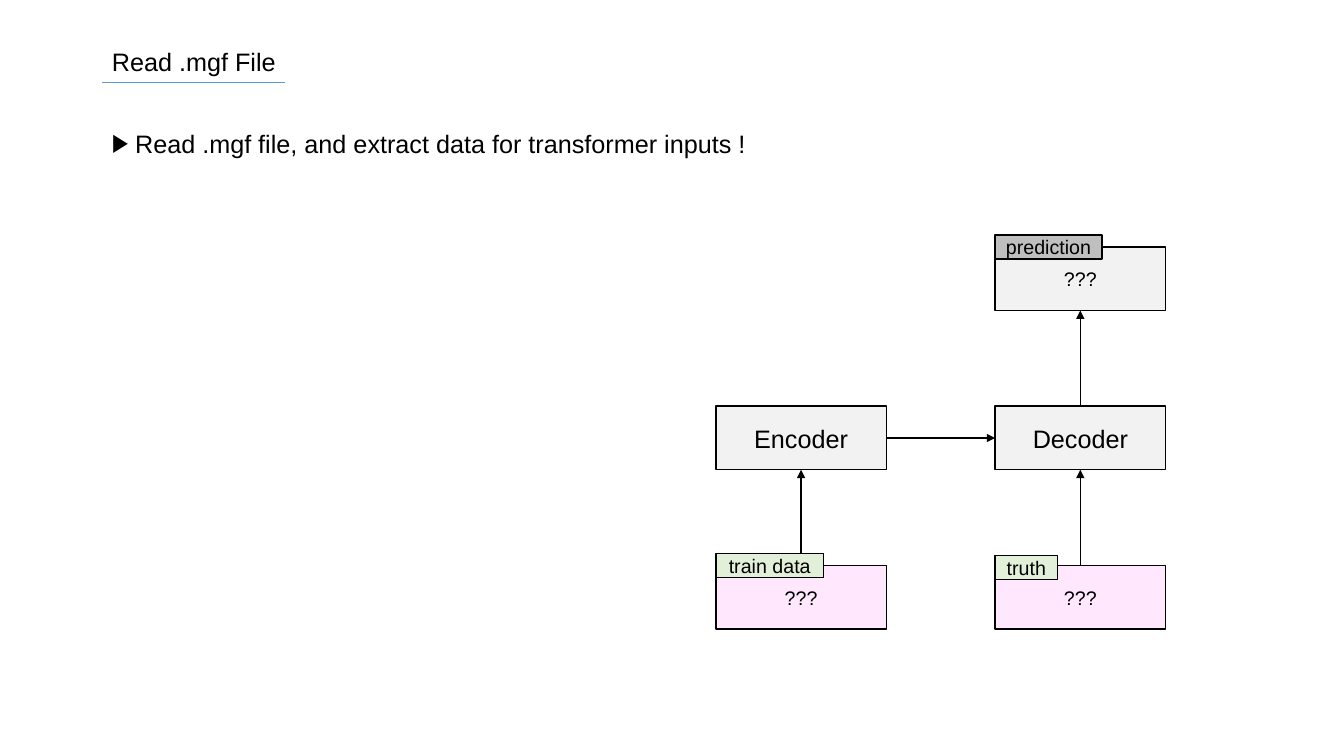
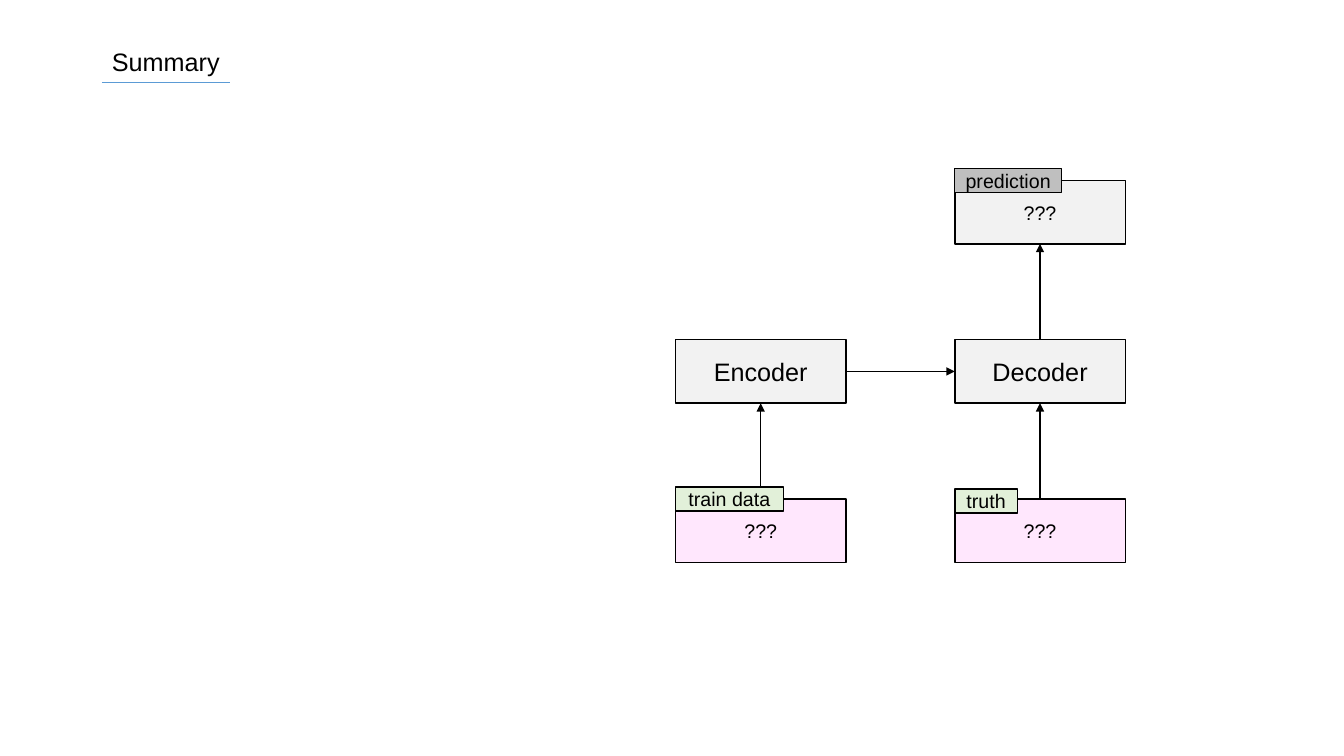
"""Build two slides that show an encoder-decoder data flow."""
from lxml import etree
from pptx import Presentation
from pptx import util as u
from pptx.dml.color import RGBColor
from pptx.enum import shapes, text
from pptx.oxml import ns

COLORS = {
    "ink": "000000",
    "rule": "5B9BD5",
    "model": "F2F2F2",
    "data": "FFE7FD",
    "input": "E2F0D9",
    "output": "BFBFBF",
}
FONT = "Arial"
MARGIN = 1.01
BOX_WIDTH, BOX_HEIGHT = 1.69, 0.63
COLUMN_STEP, ROW_STEP = 2.77, 1.58
TAG_HEIGHT, TAG_RISE = 0.24, 0.12
TOP, LEFT, BOTTOM, RIGHT = range(4)


def write(shape, words, size=18, align=text.PP_ALIGN.LEFT,
          anchor=text.MSO_ANCHOR.TOP, wrap=True, fit=text.MSO_AUTO_SIZE.NONE, bullet=None):
    frame = shape.text_frame
    frame.word_wrap = wrap
    frame.auto_size = fit
    frame.vertical_anchor = anchor
    paragraph = frame.paragraphs[0]
    paragraph.text = words
    paragraph.alignment = align
    paragraph.space_before = u.Pt(0)
    if bullet:
        properties = paragraph._p.get_or_add_pPr()
        indent = u.Inches(0.23)
        properties.set("marL", str(indent))
        properties.set("indent", str(-indent))
        etree.SubElement(properties, ns.qn("a:buFont"), typeface=FONT)
        etree.SubElement(properties, ns.qn("a:buChar"), char=bullet)
    paragraph.font.name = FONT
    paragraph.font.size = u.Pt(size)
    paragraph.font.color.rgb = RGBColor.from_string(COLORS["ink"])


class Deck:
    def __init__(self):
        self.presentation = Presentation()
        self.presentation.slide_width = u.Inches(13.33)
        self.presentation.slide_height = u.Inches(7.5)
        self.slide = None

    def add_slide(self, title, rule_width, layout):
        self.slide = self.presentation.slides.add_slide(
            self.presentation.slide_layouts.get_by_name(layout))
        self.fill_placeholder(self.slide.shapes.title, title, 0.41, 5.69)
        self.line((MARGIN, 0.82), (MARGIN + rule_width, 0.82), "rule", 0.5)

    def fill_placeholder(self, shape, words, top, width, bullet=None):
        shape.left, shape.top = u.Inches(MARGIN), u.Inches(top)
        shape.width, shape.height = u.Inches(width), u.Inches(0.4)
        write(shape, words, fit=text.MSO_AUTO_SIZE.SHAPE_TO_FIT_TEXT, bullet=bullet)

    def bullet(self, words):
        self.fill_placeholder(self.slide.placeholders[1], words, 1.22, 11.42, "▶")

    def line(self, start=(0, 0), end=(0, 0), color="ink", weight=1):
        connector = self.slide.shapes.add_connector(
            shapes.MSO_CONNECTOR.STRAIGHT, *map(u.Inches, (*start, *end)))
        connector.line.color.rgb = RGBColor.from_string(COLORS[color])
        connector.line.width = u.Pt(weight)
        etree.SubElement(connector._element.spPr, ns.qn("a:effectLst"))
        return connector

    def arrow(self, source, source_side, target, target_side):
        connector = self.line()
        connector.begin_connect(source, source_side)
        connector.end_connect(target, target_side)
        etree.SubElement(connector.line._get_or_add_ln(), ns.qn("a:tailEnd"), type="triangle")

    def box(self, words, left, top, color, size=14, width=BOX_WIDTH, height=BOX_HEIGHT):
        shape = self.slide.shapes.add_shape(
            shapes.MSO_SHAPE.RECTANGLE, *map(u.Inches, (left, top, width, height)))
        shape.shadow.inherit = False
        shape.fill.solid()
        shape.fill.fore_color.rgb = RGBColor.from_string(COLORS[color])
        shape.line.color.rgb = RGBColor.from_string(COLORS["ink"])
        shape.line.width = u.Pt(1)
        write(shape, words, size, text.PP_ALIGN.CENTER, text.MSO_ANCHOR.MIDDLE, wrap=False)
        return shape

    def tag(self, words, left, box_top, width, color="input", rise=TAG_RISE):
        self.box(words, left, box_top - rise, color, width=width, height=TAG_HEIGHT)

    def model_diagram(self, left, top):
        right = left + COLUMN_STEP
        middle, bottom = top + ROW_STEP, top + 2 * ROW_STEP
        prediction = self.box("???", right, top, "model")
        encoder = self.box("Encoder", left, middle, "model", 18)
        decoder = self.box("Decoder", right, middle, "model", 18)
        train_data = self.box("???", left, bottom, "data")
        truth = self.box("???", right, bottom, "data")
        self.arrow(encoder, RIGHT, decoder, LEFT)
        for lower, upper in ((train_data, encoder), (truth, decoder), (decoder, prediction)):
            self.arrow(lower, TOP, upper, BOTTOM)
        self.tag("prediction", right, top, 1.06, "output")
        self.tag("train data", left, bottom, 1.07)
        self.tag("truth", right, bottom, 0.62, rise=0.1)


def main():
    deck = Deck()
    deck.add_slide("Read .mgf File", 1.82, "Title and Content")
    deck.bullet("Read .mgf file, and extract data for transformer inputs !")
    deck.model_diagram(7.1, 2.45)
    deck.add_slide("Summary", 1.27, "Title Only")
    deck.model_diagram(6.7, 1.79)
    deck.presentation.save("out.pptx")


if __name__ == "__main__":
    main()
